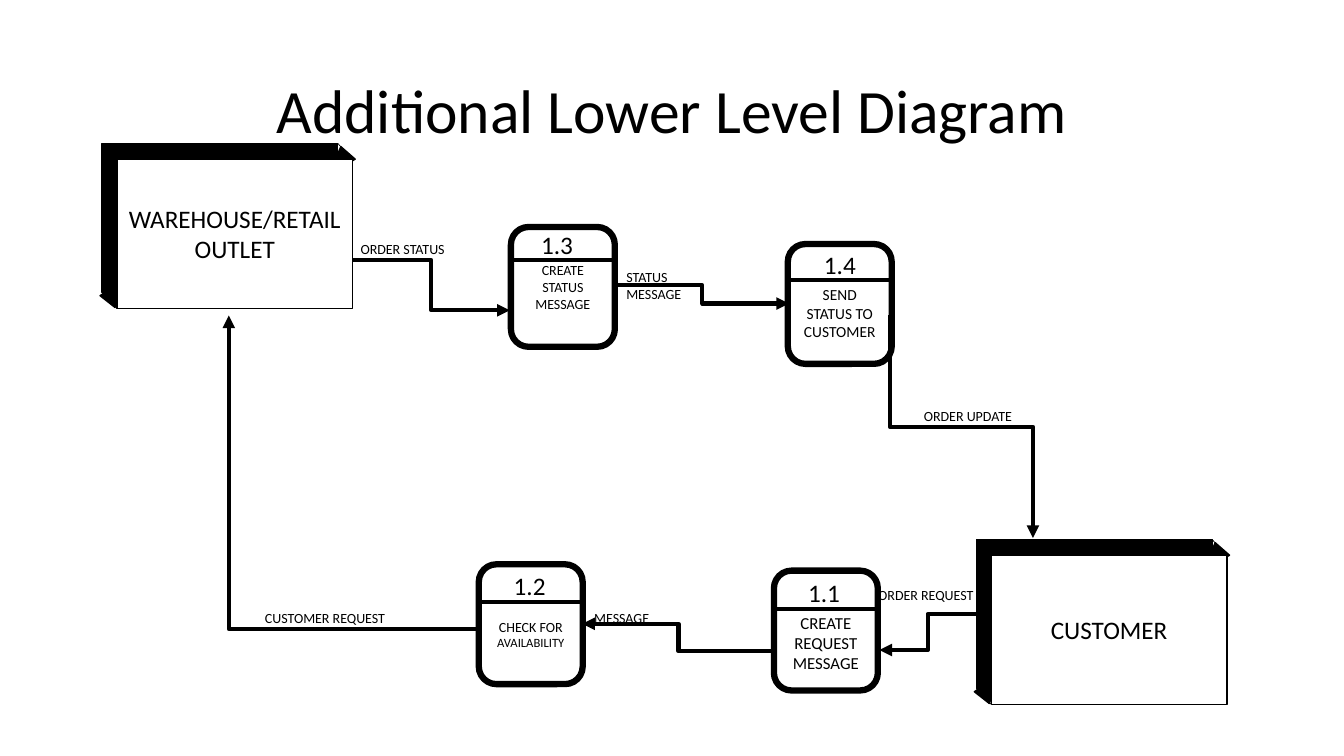
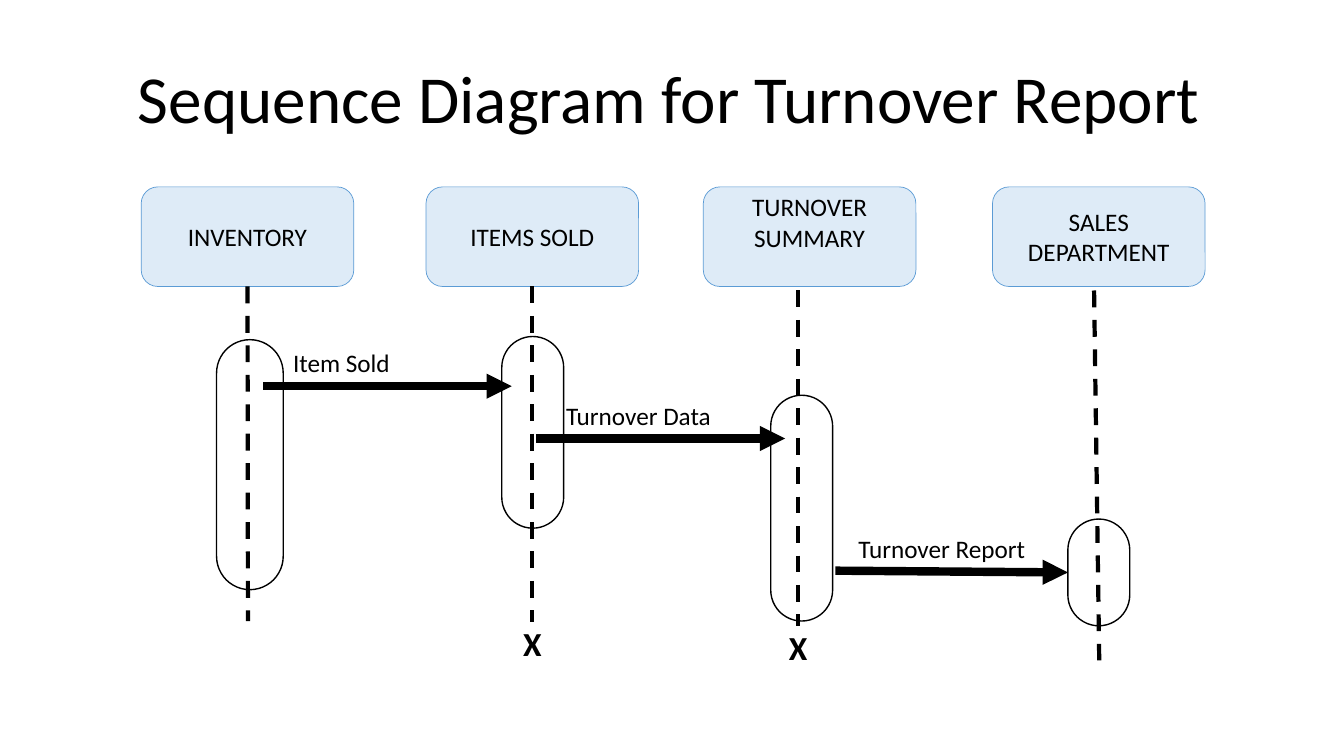
from dataclasses import dataclass
from typing import Any

from lxml import etree
from pptx import Presentation
from pptx import util as u
from pptx.dml.color import RGBColor
from pptx.enum import dml, shapes as sh, text as tx
from pptx.oxml import ns

BLACK = RGBColor(0x00, 0x00, 0x00)
WHITE = RGBColor(0xFF, 0xFF, 0xFF)
PALE = RGBColor(0xDE, 0xEB, 0xF7)
BLUE = RGBColor(0x5B, 0x9B, 0xD5)
FONT = "Calibri"
SIDE = 0.25
EDGE = 0.13
CENTER = tx.PP_ALIGN.CENTER
LEFT = tx.PP_ALIGN.LEFT
TOP = tx.MSO_ANCHOR.TOP
MIDDLE = tx.MSO_ANCHOR.MIDDLE
Kind = sh.MSO_SHAPE


@dataclass(frozen=True)
class Entry:
    name: str
    x: float
    y: float


@dataclass(frozen=True)
class Process:
    number: str
    x: float
    y: float
    bar: float
    shift: float
    rise: float
    runs: tuple[tuple[str, float], ...]
    inset: float = EDGE


@dataclass(frozen=True)
class Label:
    words: str
    x: float
    y: float
    w: float


@dataclass(frozen=True)
class Flow:
    x1: float
    y1: float
    x2: float
    y2: float
    form: str = "bentConnector3"
    turned: bool = False


@dataclass(frozen=True)
class Actor:
    name: str
    x: float
    bar: tuple[float, float, float, float]
    life: tuple[float, float, float, float]
    joined: bool = False
    anchor: Any = MIDDLE
    inset: float = EDGE
    ended: bool = False


@dataclass(frozen=True)
class Message:
    label: Label
    line: tuple[float, float, float, float]
    target: int | None = None


BOX_W, BOX_H = 5.94, 3.76
STEP_W, STEP_H = 2.62, 3.02
CARD_W, CARD_H, CARD_Y = 5.36, 2.51, 4.71

ENTRIES = (
    Entry("CUSTOMER", 24.61, 13.59),
    Entry("WAREHOUSE/RETAIL OUTLET", 2.57, 3.61),
)
STEPS = (
    Process("1.1", 19.51, 14.38, 0.96, 0.61, 0.05, (("CREATE REQUEST MESSAGE", 12),), 0.73),
    Process("1.4", 19.86, 6.15, 0.91, 0.66, 0, (("SEND STATUS TO CUSTOMER", 11),), 0.6),
    Process("1.3", 12.88, 5.72, 0.83, 0.51, -0.06, (("CREATE STATUS MESSAGE", 10),)),
    Process("1.2", 12.07, 14.22, 0.94, 0.63, 0.03, (("CHECK FOR ", 10), ("AVAILABILITY", 9)), 0.65),
)
FLOWS = (
    Flow(12.07, 15.85, 5.77, 7.95, "bentConnector2"),
    Flow(19.53, 16.41, 14.68, 15.72),
    Flow(8.89, 6.55, 12.85, 7.82),
    Flow(24.61, 15.47, 22.17, 16.38),
    Flow(15.52, 7.19, 19.89, 7.65),
    Flow(22.43, 7.95, 26.04, 13.56, turned=True),
)
LABELS = (
    Label("CUSTOMER REQUEST", 6.43, 15.24, 4.09),
    Label("ORDER REQUEST", 21.89, 14.66, 3.2),
    Label("ORDER STATUS", 8.84, 5.92, 3.33),
    Label("ORDER UPDATE", 23.04, 10.13, 3.2),
    Label("MESSAGE", 14.73, 15.24, 2.97),
    Label("STATUS MESSAGE", 15.54, 6.63, 2.5),
)
ACTORS = (
    Actor("INVENTORY", 3.56, (5.46, 8.56, 1.68, 6.3), (6.25, 7.2, 6.25, 15.65), joined=True),
    Actor("ITEMS SOLD", 10.74, (12.65, 8.48, 1.56, 4.83), (13.42, 7.22, 13.42, 15.67),
          joined=True, ended=True),
    Actor("TURNOVER SUMMARY", 17.73, (19.43, 9.96, 1.56, 5.69), (20.12, 7.32, 20.12, 15.77),
          anchor=TOP, inset=0, ended=True),
    Actor("SALES DEPARTMENT", 25.02, (26.92, 13.08, 1.56, 2.69), (27.58, 7.32, 27.71, 16.64)),
)
NOTES = (
    Message(Label("Item Sold", 7.14, 8.61, 5.44), (6.63, 9.73, 12.9, 9.73)),
    Message(Label("Turnover Data", 14.02, 9.96, 5.44), (13.51, 11.05, 19.79, 11.05)),
    Message(Label("Turnover Report", 21.39, 13.31, 5.54), (21.06, 14.38, 26.95, 14.43), 3),
)


def write(frame: Any, words: str, *, size: float = 18, bold: bool = False, align: Any = CENTER,
          anchor: Any = MIDDLE, side: float = SIDE, top: float = EDGE,
          spacing: float = 1.0) -> None:
    frame.word_wrap = True
    frame.auto_size = tx.MSO_AUTO_SIZE.NONE
    frame.vertical_anchor = anchor
    frame.margin_left = frame.margin_right = u.Cm(side)
    frame.margin_top, frame.margin_bottom = u.Cm(top), u.Cm(EDGE)
    line = frame.paragraphs[0]
    line.alignment = align
    line.line_spacing = spacing
    run = line.add_run()
    run.text = words
    run.font.name = FONT
    run.font.size = u.Pt(size)
    run.font.bold = bold
    run.font.color.rgb = BLACK


def place(slide: Any, kind: Any, x: float, y: float, w: float, h: float, *,
          fill: RGBColor = WHITE, color: RGBColor = BLACK, width: float = 1,
          turn: float = 0, bend: float | None = None) -> Any:
    shape = slide.shapes.add_shape(kind, u.Cm(x), u.Cm(y), u.Cm(w), u.Cm(h))
    shape.shadow.inherit = False
    shape.fill.solid()
    shape.fill.fore_color.rgb = fill
    shape.line.color.rgb = color
    shape.line.width = u.Pt(width)
    shape.rotation = turn
    if bend is not None:
        shape.adjustments[0] = bend
    return shape


def link(slide: Any, x1: float, y1: float, x2: float, y2: float, *, width: float = 3,
         kind: Any = sh.MSO_CONNECTOR.STRAIGHT, arrow: bool = False, dash: bool = False) -> Any:
    line = slide.shapes.add_connector(kind, u.Cm(x1), u.Cm(y1), u.Cm(x2), u.Cm(y2))
    line.line.color.rgb = BLACK
    line.line.width = u.Pt(width)
    if dash:
        line.line.dash_style = dml.MSO_LINE.DASH
    props = line._element.spPr
    if arrow:
        etree.SubElement(props.find(ns.qn("a:ln")), ns.qn("a:tailEnd"), type="triangle")
    etree.SubElement(props, ns.qn("a:effectLst"))
    return line


def label(slide: Any, item: Label, *, h: float = 1.02, **form: Any) -> None:
    box = slide.shapes.add_textbox(u.Cm(item.x), u.Cm(item.y), u.Cm(item.w), u.Cm(h))
    write(box.text_frame, item.words, **{"align": LEFT, "anchor": TOP, **form})


def start(deck: Any, words: str, x: float, y: float, w: float, h: float, **form: Any) -> Any:
    slide = deck.slides.add_slide(deck.slide_layouts[5])
    title = slide.shapes.title
    title.left, title.top, title.width, title.height = map(u.Cm, (x, y, w, h))
    write(title.text_frame, words, **form)
    return slide


def block(slide: Any, item: Entry) -> None:
    x, y = item.x, item.y
    dx, dy = 0.38, 0.4
    place(slide, Kind.RECTANGLE, x, y, BOX_W, BOX_H, fill=BLACK)
    for cx, cy in ((x, y + BOX_H), (x + BOX_W, y)):
        link(slide, cx + dx, cy + dy, cx, cy, width=0.5)
    for cx, cy, turn in ((0.13, 3.33, 38.3), (5.72, 0.15, 221.1)):
        place(slide, Kind.ISOSCELES_TRIANGLE, x + cx, y + cy, 0.48, 0.74, fill=BLACK, turn=turn)
    front = place(slide, Kind.RECTANGLE, x + dx, y + dy, BOX_W, BOX_H)
    write(front.text_frame, item.name)


def step(slide: Any, item: Process) -> None:
    box = place(slide, Kind.ROUNDED_RECTANGLE, item.x, item.y, STEP_W, STEP_H,
                width=4.5, bend=0.17)
    for words, size in item.runs:
        write(box.text_frame, words, size=size, side=0.2, top=item.inset)
    y = item.y + item.bar
    link(slide, item.x, y, item.x + STEP_W, y)
    label(slide, Label(item.number, item.x + item.shift, item.y + item.rise, 1.8))


def flow(slide: Any, item: Flow) -> None:
    ends = item.x1, item.y1, item.x2, item.y2
    if item.turned:
        cx, cy = (item.x1 + item.x2) / 2, (item.y1 + item.y2) / 2
        dx, dy = (item.x2 - item.x1) / 2, (item.y2 - item.y1) / 2
        ends = cx + dy, cy - dx, cx - dy, cy + dx
    line = link(slide, *ends, kind=sh.MSO_CONNECTOR.ELBOW, arrow=True)
    props = line._element.spPr
    props.find(ns.qn("a:prstGeom")).set("prst", item.form)
    if item.turned:
        props.find(ns.qn("a:xfrm")).set("rot", "16200000")


def actor(slide: Any, item: Actor) -> Any:
    card = place(slide, Kind.ROUNDED_RECTANGLE, item.x, CARD_Y, CARD_W, CARD_H,
                 fill=PALE, color=BLUE, width=0.5)
    write(card.text_frame, item.name, anchor=item.anchor, top=item.inset)
    bar = place(slide, Kind.ROUNDED_RECTANGLE, *item.bar, bend=0.5)
    life = link(slide, *item.life, dash=True)
    if item.joined:
        life.begin_connect(card, 2)
    if item.ended:
        x, y = item.life[2:]
        label(slide, Label("X", x - 0.6, y - 0.1, 1.2), h=1.27, size=24, bold=True,
              align=CENTER, side=0)
    return bar


def main() -> None:
    deck = Presentation()
    deck.slide_width, deck.slide_height = u.Cm(33.88), u.Cm(19.05)

    lower = start(deck, "Additional Lower Level Diagram", 2.34, 1.02, 29.21, 3.68,
                  size=44, spacing=0.9)
    for entry in ENTRIES:
        block(lower, entry)
    for item in STEPS:
        step(lower, item)
    for route in FLOWS:
        flow(lower, route)
    for note in LABELS:
        label(lower, note, size=10, h=0.68)

    chain = start(deck, "Sequence Diagram for Turnover Report", 0.81, 1.3, 32.11, 2.29, size=48)
    bars = [actor(chain, item) for item in ACTORS]
    for note in NOTES:
        line = link(chain, *note.line, width=6, arrow=True)
        if note.target is not None:
            line.end_connect(bars[note.target], 1)
        label(chain, note.label)

    deck.save("out.pptx")


if __name__ == "__main__":
    main()
